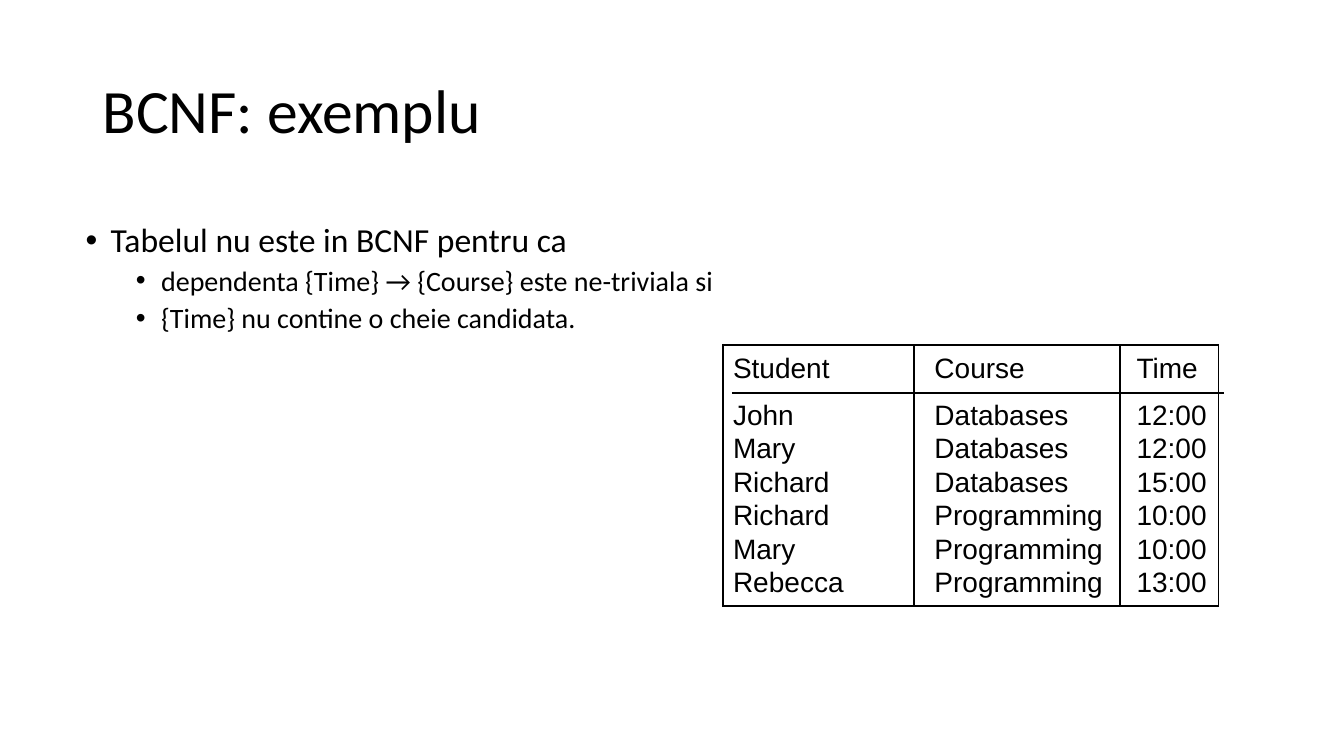
from dataclasses import dataclass

from lxml import etree
from pptx import Presentation
from pptx.dml.color import RGBColor
from pptx.enum.shapes import MSO_CONNECTOR
from pptx.enum.text import MSO_ANCHOR
from pptx.oxml.ns import qn
from pptx.util import Pt

STRAIGHT = MSO_CONNECTOR.STRAIGHT
TOP, MIDDLE, BOTTOM = MSO_ANCHOR.TOP, MSO_ANCHOR.MIDDLE, MSO_ANCHOR.BOTTOM


@dataclass(frozen=True)
class Theme:
    """Colours, fonts and sizes of the slide."""
    ink: str = "000000"
    text: str = "Calibri"
    grid: str = "Arial"
    title: float = 44
    lead: float = 24
    item: float = 20
    cell: float = 20
    rule: float = 1.5


THEME = Theme()
POINTS = [
    (0, "Tabelul nu este in BCNF pentru ca"),
    (1, "dependenta {Time} → {Course} este ne-triviala si"),
    (1, "{Time} nu contine o cheie candidata."),
]
ROWS = [
    ("Student", "Course", "Time"),
    ("John", "Databases", "12:00"),
    ("Mary", "Databases", "12:00"),
    ("Richard", "Databases", "15:00"),
    ("Richard", "Programming", "10:00"),
    ("Mary", "Programming", "10:00"),
    ("Rebecca", "Programming", "13:00"),
]
COLS = [(136.7, 7.2), (147, 14.4), (70.3, 11.8)]
HIGHS = [34.5, 27, 24, 24, 24, 24, 29]


def add_run(para, words, face, size):
    """Add one styled run to a paragraph."""
    run = para.add_run()
    run.text = words
    run.font.name = face
    run.font.size = Pt(size)
    run.font.color.rgb = RGBColor.from_string(THEME.ink)


def add_frame(slide, box):
    """Add a wrapping text box and return its frame."""
    frame = slide.shapes.add_textbox(*map(Pt, box)).text_frame
    frame.word_wrap = True
    return frame


def add_title(slide, box):
    """Write the title in the middle of its box."""
    frame = add_frame(slide, box)
    frame.vertical_anchor = MIDDLE
    para = frame.paragraphs[0]
    para.line_spacing = 0.9
    add_run(para, "BCNF: exemplu", THEME.text, THEME.title)


def add_points(slide, box):
    """Write the bulleted points on two levels."""
    frame = add_frame(slide, box)
    for i, (level, words) in enumerate(POINTS):
        para = frame.add_paragraph() if i else frame.paragraphs[0]
        para.level = level
        para.line_spacing = 0.9
        para.space_before = Pt(5 if i else 0)
        props = para._p.get_or_add_pPr()
        props.set("marL", str(Pt(18 + 36 * level)))
        props.set("indent", str(Pt(-18)))
        etree.SubElement(props, qn("a:buFont"), typeface="Arial")
        etree.SubElement(props, qn("a:buChar"), char="•")
        add_run(para, words, THEME.text, THEME.item if level else THEME.lead)


def set_edges(cell, shown):
    """Draw the shown sides of a cell and clear the others."""
    props = cell._tc.get_or_add_tcPr()
    for i, side in enumerate("LRTB"):
        line = etree.Element(qn("a:ln" + side), w=str(Pt(THEME.rule)))
        if side in shown:
            fill = etree.SubElement(line, qn("a:solidFill"))
            etree.SubElement(fill, qn("a:srgbClr"), val=THEME.ink)
        else:
            etree.SubElement(line, qn("a:noFill"))
        props.insert(i, line)


def add_rule(slide, *ends):
    """Draw one straight rule between two points."""
    rule = slide.shapes.add_connector(STRAIGHT, *map(Pt, ends))
    rule.line.color.rgb = RGBColor.from_string(THEME.ink)
    rule.line.width = Pt(THEME.rule)
    etree.SubElement(rule._element.spPr, qn("a:effectLst"))


def add_grid(slide, left, top):
    """Place the framed course table and the rules across it."""
    wide, tall = sum(width for width, _ in COLS), sum(HIGHS)
    box = map(Pt, (left, top, wide, tall))
    table = slide.shapes.add_table(len(ROWS), len(COLS), *box).table
    table.first_row = table.horz_banding = False
    for col, (width, _) in zip(table.columns, COLS):
        col.width = Pt(width)
    last, end = len(ROWS) - 1, len(COLS) - 1
    for r, (row, high) in enumerate(zip(ROWS, HIGHS)):
        table.rows[r].height = Pt(high)
        for c, words in enumerate(row):
            cell = table.cell(r, c)
            cell.fill.background()
            cell.margin_left = Pt(COLS[c][1])
            cell.margin_right = cell.margin_bottom = 0
            cell.margin_top = Pt(1 if r == last else 0)
            cell.vertical_anchor = {0: MIDDLE, last: TOP}.get(r, BOTTOM)
            edges = {0: "T", last: "B"}.get(r, "")
            set_edges(cell, edges + {0: "L", end: "R"}.get(c, ""))
            para = cell.text_frame.paragraphs[0]
            add_run(para, words, THEME.grid, THEME.cell)
    x = left
    for width, _ in COLS[:-1]:
        x += width
        add_rule(slide, x, top, x, top + tall)
    y = top + HIGHS[0]
    add_rule(slide, left + 6.4, y, left + wide + 3.7, y)


def main():
    """Build the slide and save it."""
    deck = Presentation()
    deck.slide_width, deck.slide_height = Pt(960), Pt(540)
    slide = deck.slides.add_slide(deck.slide_layouts[6])
    add_title(slide, (66.24, 28.8, 828, 104.4))
    add_points(slide, (54, 156.24, 466, 324))
    add_grid(slide, 516.4, 246.3)
    deck.save("out.pptx")


if __name__ == "__main__":
    main()
